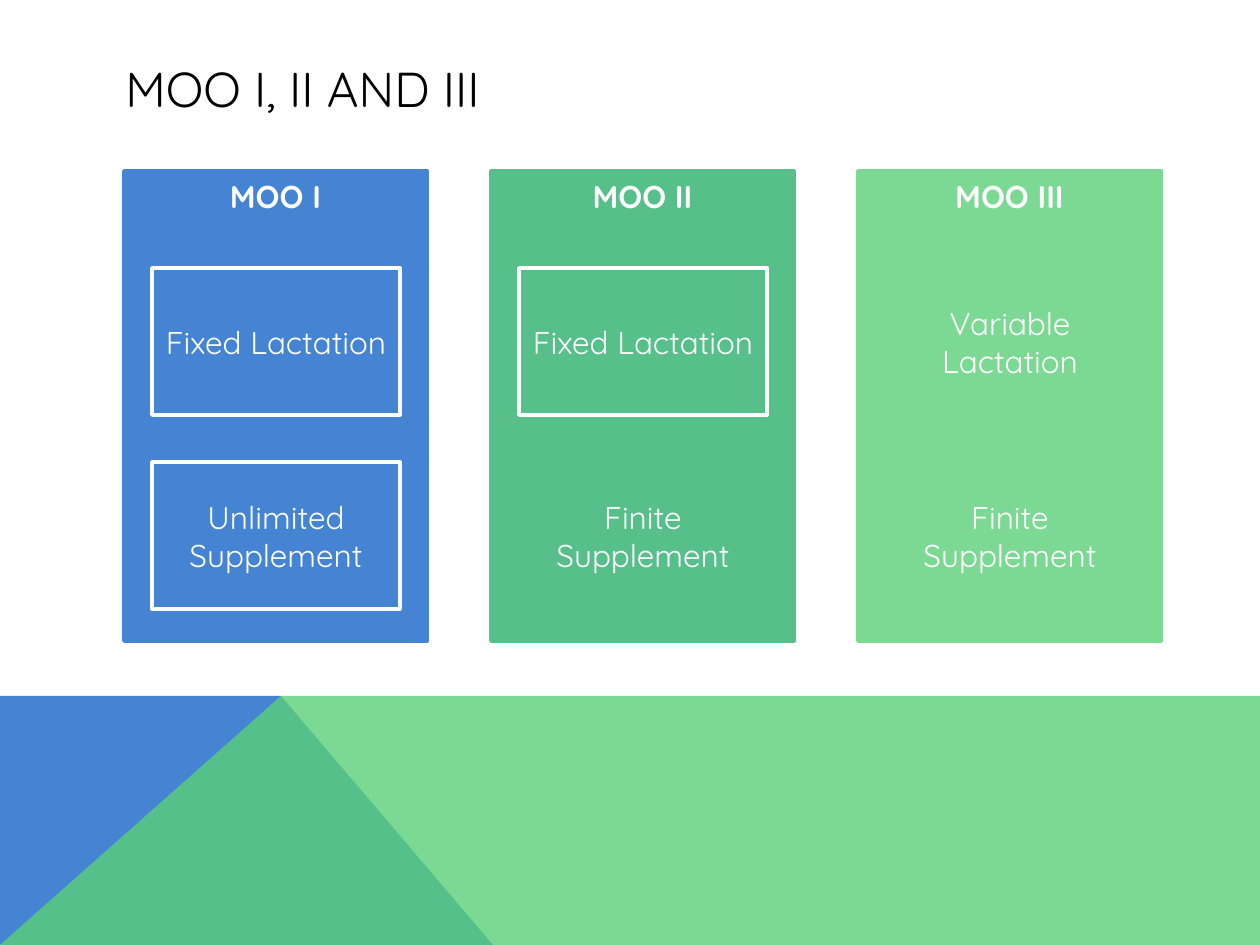
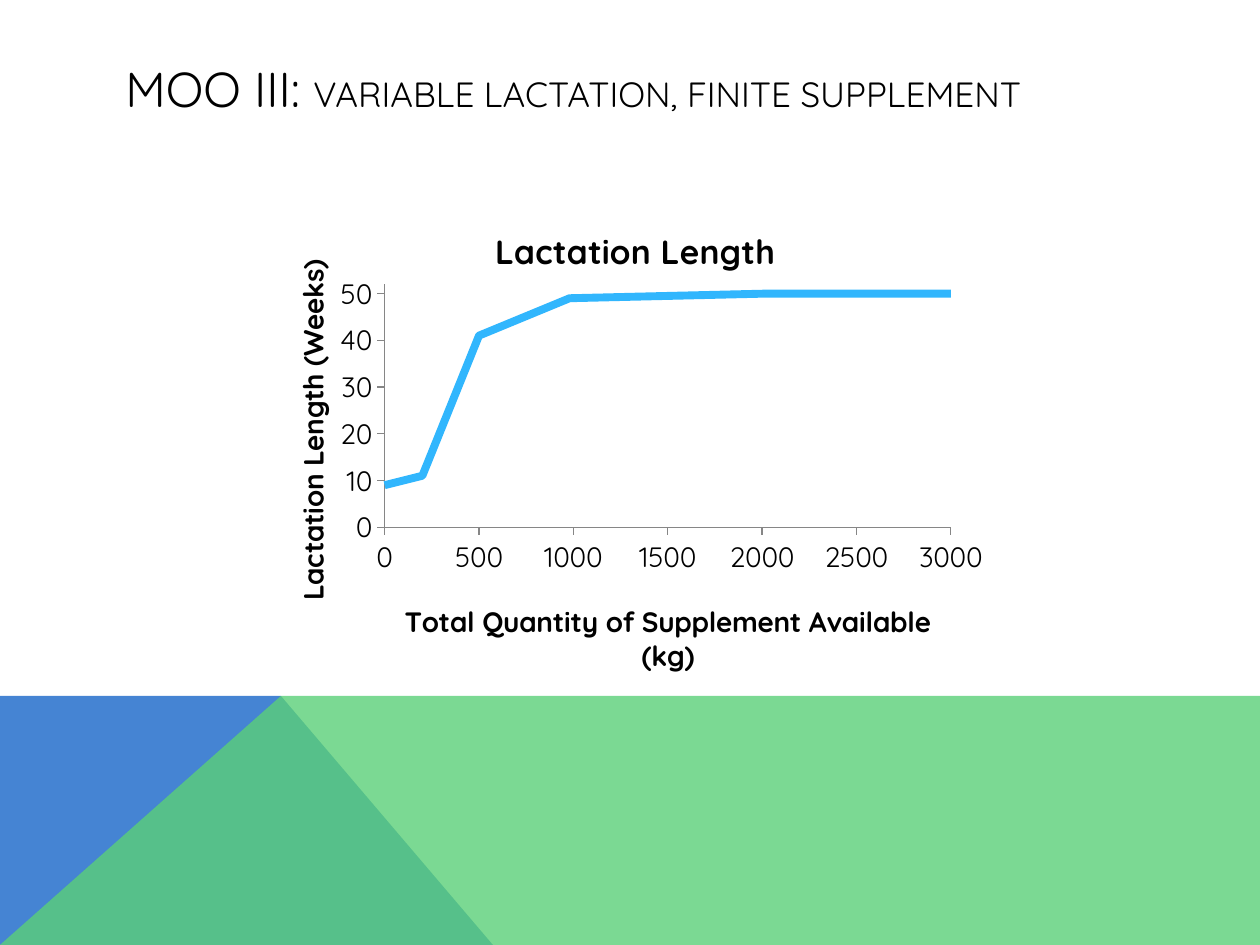
from dataclasses import dataclass

from lxml.etree import SubElement
from pptx import Presentation
from pptx.chart.data import XyChartData
from pptx.dml.color import RGBColor
from pptx.enum.chart import XL_CHART_TYPE, XL_MARKER_STYLE, XL_TICK_MARK
from pptx.enum.shapes import MSO_SHAPE
from pptx.enum.text import MSO_ANCHOR, PP_ALIGN
from pptx.oxml import parse_xml
from pptx.oxml.ns import nsdecls, qn
from pptx.util import Emu, Pt

PX = 914400 / 126
WIDTH, HEIGHT = 1260, 945


def px(length):
    return Emu(round(length * PX))


@dataclass(frozen=True)
class Theme:
    font: str = "Quicksand"
    black: str = "000000"
    white: str = "FFFFFF"
    blue: str = "4584D3"
    green: str = "57C08A"
    light_green: str = "7CD993"
    band_green: str = "5BD078"
    curve: str = "31B6FD"
    axis: str = "868686"
    title_size: float = 28
    subtitle_size: float = 20
    body_size: float = 18
    chart_size: float = 16
    chart_title_size: float = 19.2


class Deck:
    def __init__(self, theme):
        self.theme = theme
        self.presentation = Presentation()
        self.presentation.slide_width = px(WIDTH)
        self.presentation.slide_height = px(HEIGHT)
        self.slide = None

    def style_font(self, font, size, color, bold=False):
        font.name = self.theme.font
        font.size = Pt(size)
        font.bold = bold
        font.color.rgb = RGBColor.from_string(color)

    def add_slide(self, title, subtitle=""):
        self.slide = self.presentation.slides.add_slide(self.presentation.slide_layouts[6])
        top, peak = 696, 281
        self.polygon([(0, HEIGHT), (0, top), (peak, top), (493, HEIGHT)], self.theme.blue)
        self.polygon([(0, HEIGHT), (peak, top), (WIDTH, top), (WIDTH, HEIGHT)],
                     self.theme.band_green, opacity=80)
        self.title(title, subtitle)

    def polygon(self, points, color, opacity=100):
        builder = self.slide.shapes.build_freeform(*points[0], scale=PX)
        builder.add_line_segments(points[1:], close=True)
        shape = builder.convert_to_shape()
        self.paint(shape, color)
        if opacity < 100:
            color_element = shape.element.spPr.find(qn("a:solidFill"))[0]
            SubElement(color_element, qn("a:alpha")).set("val", str(opacity * 1000))

    def paint(self, shape, fill, line=None):
        shape.shadow.inherit = False
        shape.fill.solid()
        shape.fill.fore_color.rgb = RGBColor.from_string(fill)
        if line:
            shape.line.color.rgb = RGBColor.from_string(line)
            shape.line.width = Pt(2)
        else:
            shape.line.fill.background()

    def title(self, text, subtitle):
        box = self.slide.shapes.add_textbox(px(113), px(50), px(1036), px(76))
        frame = box.text_frame
        frame.word_wrap = True
        frame.vertical_anchor = MSO_ANCHOR.MIDDLE
        paragraph = frame.paragraphs[0]
        self.style_font(paragraph.font, self.theme.title_size, self.theme.black)
        paragraph.add_run().text = text
        if subtitle:
            run = paragraph.add_run()
            run.text = subtitle
            run.font.size = Pt(self.theme.subtitle_size)

    def panel(self, bounds, text, fill, line=None, anchor=MSO_ANCHOR.MIDDLE, bold=False):
        shape = self.slide.shapes.add_shape(MSO_SHAPE.RECTANGLE, *map(px, bounds))
        self.paint(shape, fill, line)
        frame = shape.text_frame
        frame.word_wrap = True
        frame.vertical_anchor = anchor
        paragraph = frame.paragraphs[0]
        paragraph.text = text
        paragraph.alignment = PP_ALIGN.CENTER
        self.style_font(paragraph.font, self.theme.body_size, self.theme.white, bold)

    def chart_heading(self, heading, text, size, position):
        heading.text_frame.text = text
        self.style_font(heading.text_frame.paragraphs[0].font, size, self.theme.black, bold=True)
        place(heading.element, 1, x=position[0], y=position[1])

    def axis(self, axis, title, position, maximum, step):
        axis.minimum_scale, axis.maximum_scale = 0, maximum
        axis.major_unit = step
        axis.has_major_gridlines = False
        axis.major_tick_mark = XL_TICK_MARK.OUTSIDE
        axis.minor_tick_mark = XL_TICK_MARK.NONE
        axis.tick_labels.number_format = "General"
        axis.tick_labels.number_format_is_linked = False
        axis.format.line.color.rgb = RGBColor.from_string(self.theme.axis)
        self.chart_heading(axis.axis_title, title, self.theme.chart_size, position)

    def line_chart(self, bounds, title, points):
        data = XyChartData()
        series_data = data.add_series("Series 1")
        for x, y in points:
            series_data.add_data_point(x, y)
        chart = self.slide.shapes.add_chart(
            XL_CHART_TYPE.XY_SCATTER_LINES_NO_MARKERS, *map(px, bounds), data).chart
        self.style_font(chart.font, self.theme.chart_size, self.theme.black)
        chart.has_legend = False
        chart.has_title = True
        self.chart_heading(chart.chart_title, title, self.theme.chart_title_size, (0.31, 0.05))
        chart.plots[0].vary_by_categories = False
        series = chart.plots[0].series[0]
        series.smooth = False
        series.marker.style = XL_MARKER_STYLE.NONE
        series.format.line.color.rgb = RGBColor.from_string(self.theme.curve)
        series.format.line.width = Pt(4.5)
        plot_area = chart.element.find(".//" + qn("c:plotArea"))
        place(plot_area, 0, x=0.17, y=0.18, w=0.76, h=0.49)
        return chart


def place(element, index, **fractions):
    """Give a chart part a fixed place, in fractions of the chart's size."""
    for layout in element.findall(qn("c:layout")):
        element.remove(layout)
    layout = parse_xml(f"<c:layout {nsdecls('c')}><c:manualLayout/></c:layout>")
    manual = layout[0]
    if "w" in fractions:
        SubElement(manual, qn("c:layoutTarget")).set("val", "inner")
    for name in ("x", "y"):
        SubElement(manual, qn(f"c:{name}Mode")).set("val", "edge")
    for name, value in fractions.items():
        SubElement(manual, qn(f"c:{name}")).set("val", str(value))
    element.insert(index, layout)


def add_versions_slide(deck):
    theme = deck.theme
    deck.add_slide("MOO I, II AND III")
    # Each feature is a label and whether it is outlined.
    versions = [
        ("MOO I", theme.blue, [("Fixed Lactation", True), ("Unlimited Supplement", True)]),
        ("MOO II", theme.green, [("Fixed Lactation", True), ("Finite Supplement", False)]),
        ("MOO III", theme.light_green,
         [("Variable Lactation", False), ("Finite Supplement", False)]),
    ]
    for column, (name, color, features) in enumerate(versions):
        left = 124 + column * 367
        deck.panel((left, 171, 303, 470), name, color, color, MSO_ANCHOR.TOP, bold=True)
        for row, (feature, outlined) in enumerate(features):
            deck.panel((left + 28, 268 + row * 194, 248, 147), feature, color,
                       theme.white if outlined else None)


def add_lactation_slide(deck):
    deck.add_slide("MOO III: ", "VARIABLE LACTATION, FINITE SUPPLEMENT")
    points = [(0, 9), (200, 11), (500, 41), (980, 49), (2030, 50), (3000, 50)]
    chart = deck.line_chart((258, 195, 745, 496), "Lactation Length", points)
    deck.axis(chart.category_axis, "Total Quantity of Supplement Available (kg)",
              (0.19, 0.81), 3000, 500)
    deck.axis(chart.value_axis, "Lactation Length (Weeks)", (0.04, 0.12), 52, 10)


def main():
    deck = Deck(Theme())
    add_versions_slide(deck)
    add_lactation_slide(deck)
    deck.presentation.save("out.pptx")


if __name__ == "__main__":
    main()
